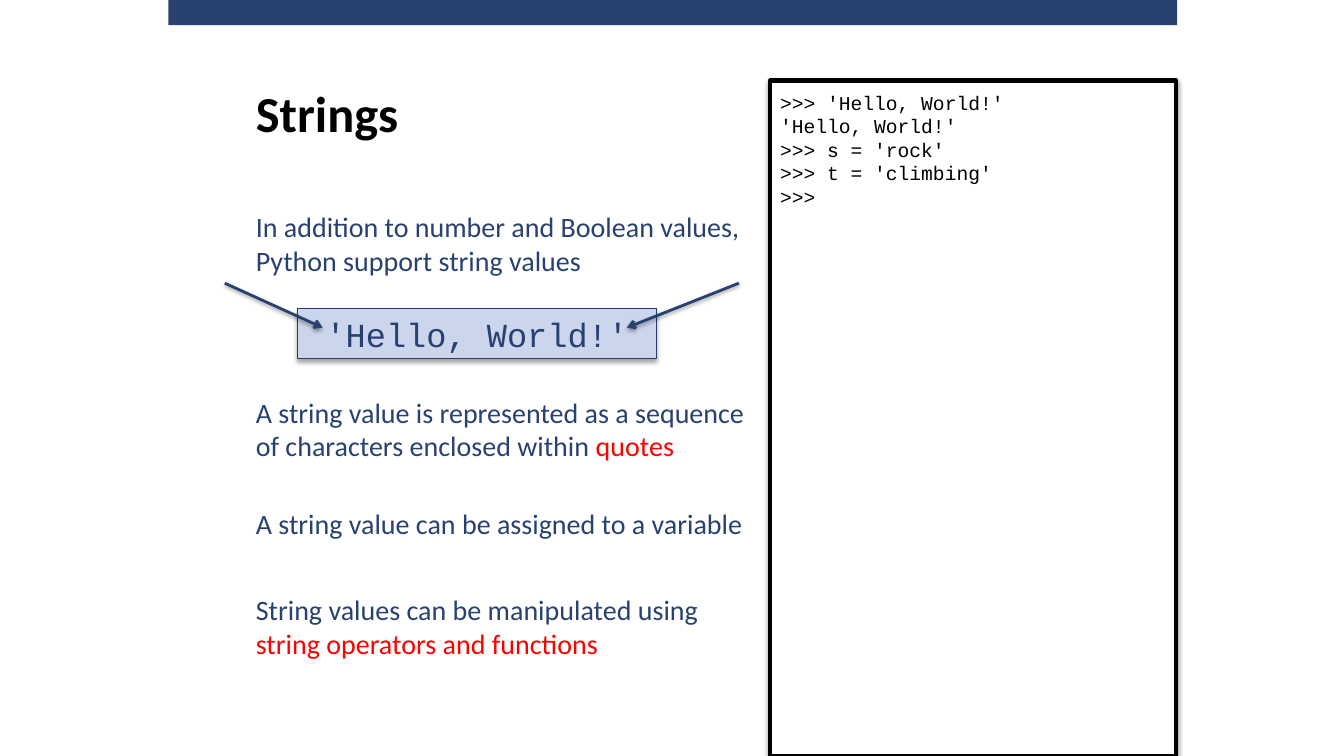
from dataclasses import dataclass

from lxml.etree import SubElement
from pptx import Presentation
from pptx.dml.color import RGBColor
from pptx.enum.shapes import MSO_CONNECTOR, MSO_SHAPE
from pptx.enum.text import MSO_ANCHOR, PP_ALIGN
from pptx.oxml.ns import qn
from pptx.util import Pt

COLORS = {
    "navy": "294171", "edge": "263F70", "pale": "CBD6EC",
    "red": "FF0000", "black": "000000", "white": "FFFFFF",
}
SANS, MONO = "Calibri", "Courier New"
LEFT, WIDE = 175.7, 374.4


@dataclass
class Box:
    x: float
    y: float
    w: float
    h: float

    def points(self) -> list:
        return [Pt(v) for v in (self.x, self.y, self.w, self.h)]


@dataclass
class Note:
    """A statement on the left, ending in an optional red phrase."""
    top: float
    height: float
    plain: str
    red: str = ""
    width: float = WIDE
    right: float = 7.2


@dataclass
class Arrow:
    start: tuple
    end: tuple


NOTES = [
    Note(146.2, 55.4, "In addition to number and Boolean values, Python support string values",
         width=415.4, right=48),
    Note(278.6, 55.4, "A string value is represented as a sequence of characters enclosed within ",
         "quotes"),
    Note(357.8, 31.7, "A string value can be assigned to a variable"),
    Note(419.8, 55.4, "String values can be manipulated using ", "string operators and functions"),
]
ARROWS = [Arrow((527.8, 202.3), (447.8, 234)), Arrow((160.6, 202.3), (230.4, 234))]
CODE = [
    ">>> 'Hello, World!'",
    "'Hello, World!'",
    ">>> s = 'rock'",
    ">>> t = 'climbing'",
    ">>>",
]


def rgb(name: str) -> RGBColor:
    return RGBColor.from_string(COLORS[name])


def add_shade(shape, alpha: int = 38, gap: float = 1.6) -> None:
    """Drop a soft black shadow straight down."""
    props = shape._element.spPr
    for old in props.findall(qn("a:effectLst")):
        props.remove(old)
    list_ = SubElement(props, qn("a:effectLst"))
    shade = SubElement(list_, qn("a:outerShdw"), blurRad=str(Pt(3.1)), dist=str(Pt(gap)),
                       dir="5400000", rotWithShape="0")
    color = SubElement(shade, qn("a:srgbClr"), val=COLORS["black"])
    SubElement(color, qn("a:alpha"), val=str(alpha * 1000))


def add_rect(slide, box: Box, fill: str, edge: str = "", width: float = 0):
    rect = slide.shapes.add_shape(MSO_SHAPE.RECTANGLE, *box.points())
    rect.shadow.inherit = False
    rect.fill.solid()
    rect.fill.fore_color.rgb = rgb(fill)
    if edge:
        rect.line.color.rgb = rgb(edge)
        rect.line.width = Pt(width)
    else:
        rect.line.fill.background()
    return rect


def add_arrow(slide, arrow: Arrow) -> None:
    ends = [Pt(v) for v in (*arrow.start, *arrow.end)]
    line = slide.shapes.add_connector(MSO_CONNECTOR.STRAIGHT, *ends)
    line.line.color.rgb = rgb("navy")
    line.line.width = Pt(2)
    SubElement(line.line._get_or_add_ln(), qn("a:tailEnd"), type="arrow")
    add_shade(line)


def write(shape, lines: list, *, size: float, font: str = SANS, color: str = "navy",
          bold: bool = False, align=PP_ALIGN.LEFT, anchor=MSO_ANCHOR.MIDDLE,
          top: float = 3.6, right: float = 7.2, bottom: float = 3.6, pitch: float = 0) -> None:
    """Fill a shape; each line is a list of (text, color) runs, where "" means the main color."""
    frame = shape.text_frame
    frame.word_wrap = True
    frame.vertical_anchor = anchor
    frame.margin_top, frame.margin_bottom = Pt(top), Pt(bottom)
    frame.margin_left, frame.margin_right = Pt(7.2), Pt(right)
    for i, runs in enumerate(lines):
        para = frame.add_paragraph() if i else frame.paragraphs[0]
        para.alignment = align
        if pitch:
            para.line_spacing = Pt(pitch)
        for text, tint in runs:
            run = para.add_run()
            run.text = text
            run.font.name = font
            run.font.size = Pt(size)
            run.font.bold = bold
            run.font.color.rgb = rgb(tint or color)


def add_note(slide, note: Note) -> None:
    box = Box(LEFT, note.top, note.width, note.height)
    runs = [(note.plain, "")]
    if note.red:
        runs.append((note.red, "red"))
    write(slide.shapes.add_textbox(*box.points()), [runs], size=20, right=note.right)


def main() -> None:
    deck = Presentation()
    deck.slide_width, deck.slide_height = Pt(960), Pt(540)
    slide = deck.slides.add_slide(deck.slide_layouts[6])

    add_rect(slide, Box(120.2, 0, 720.7, 18), "navy")
    title = slide.shapes.add_textbox(*Box(LEFT, 0, 612, 115.9).points())
    write(title, [[("Strings", "")]], size=36, color="black", bold=True,
          anchor=MSO_ANCHOR.BOTTOM, bottom=14)

    for note in NOTES:
        add_note(slide, note)

    sample = add_rect(slide, Box(212.4, 220.3, 256.3, 36), "pale", "edge", 0.75)
    add_shade(sample, alpha=35, gap=1.8)
    write(sample, [[("'Hello, World!'", "")]], size=24, font=MONO, align=PP_ALIGN.CENTER)
    for arrow in ARROWS:
        add_arrow(slide, arrow)

    shell = add_rect(slide, Box(550.1, 57.6, 290.2, 482.4), "white", "black", 3)
    add_shade(shell)
    write(shell, [[(line, "")] for line in CODE], size=14, font=MONO, color="black",
          anchor=MSO_ANCHOR.TOP, top=7.2, pitch=16.8)

    deck.save("out.pptx")


if __name__ == "__main__":
    main()
